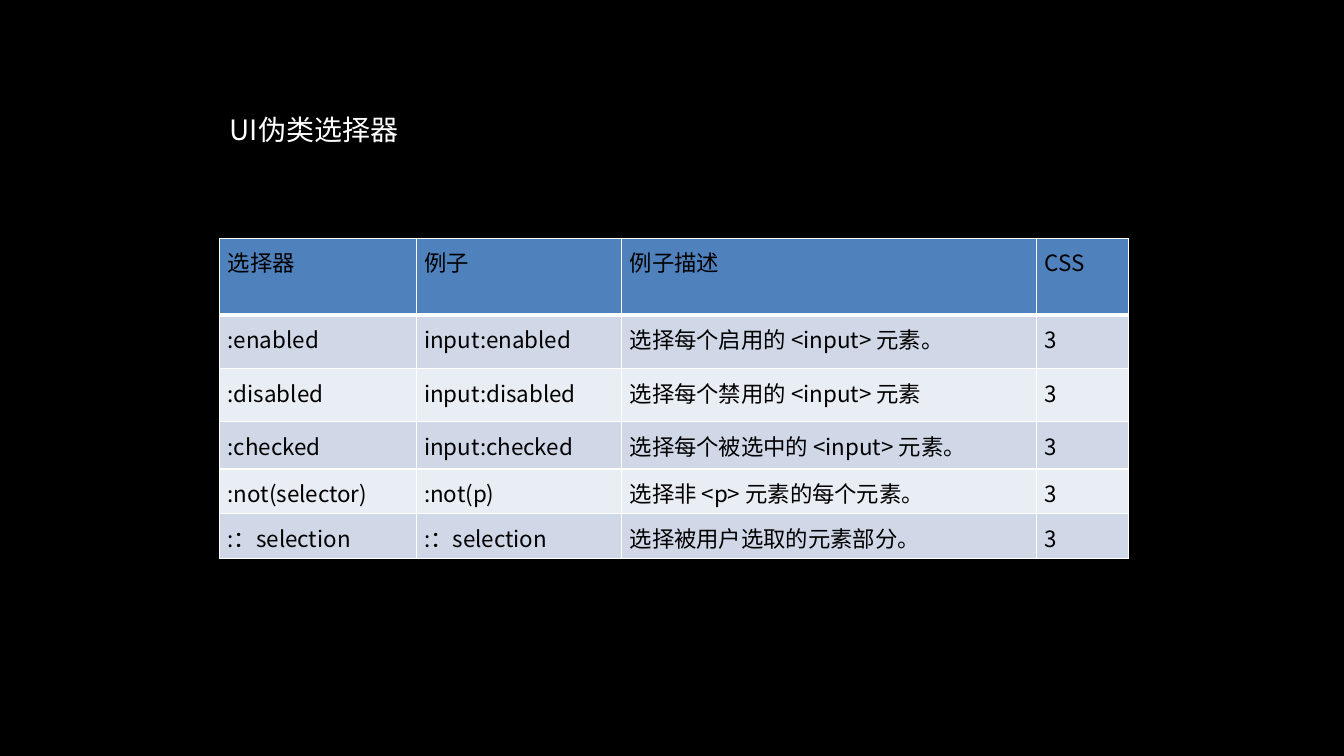
from typing import NamedTuple

from lxml import etree
from pptx import Presentation
from pptx import util as u
from pptx.dml.color import RGBColor
from pptx.enum import text
from pptx.oxml import ns

FONT = "Noto Sans CJK SC"
BLACK = RGBColor(0x00, 0x00, 0x00)
WHITE = RGBColor(0xFF, 0xFF, 0xFF)
BLUE = RGBColor(0x4F, 0x81, 0xBD)
MIST = RGBColor(0xD0, 0xD8, 0xE8)
PALE = RGBColor(0xE9, 0xED, 0xF4)


class Row(NamedTuple):
    high: float
    name: str
    sample: str
    about: str
    level: str = "3"


WIDTHS = (4.95, 5.18, 10.46, 2.31)
ROWS = (
    Row(1.93, "选择器", "例子", "例子描述", "CSS"),
    Row(1.35, ":enabled", "input:enabled", "选择每个启用的 <input> 元素。"),
    Row(1.35, ":disabled", "input:disabled", "选择每个禁用的 <input> 元素"),
    Row(1.19, ":checked", "input:checked", "选择每个被选中的 <input> 元素。"),
    Row(1.12, ":not(selector)", ":not(p)", "选择非 <p> 元素的每个元素。"),
    Row(1.14, ":：selection", ":：selection", "选择被用户选取的元素部分。"),
)


def add_run(para, words: str, size: int, color: RGBColor) -> None:
    run = para.add_run()
    run.text = words
    run.font.size = u.Pt(size)
    run.font.name = FONT
    run.font.color.rgb = color
    etree.SubElement(run.font._element, ns.qn("a:ea"), typeface=FONT)


def add_edge(cell, side: str, points: int) -> None:
    props = cell._tc.get_or_add_tcPr()
    line = etree.Element(ns.qn(f"a:{side}"), w=str(u.Pt(points)))
    fill = etree.SubElement(line, ns.qn("a:solidFill"))
    etree.SubElement(fill, ns.qn("a:srgbClr"), val=str(WHITE))
    # Edges must come ahead of the fill
    props.insert(len(props) - 1, line)


def fill_cell(cell, words: str, index: int) -> None:
    cell.fill.solid()
    cell.fill.fore_color.rgb = BLUE if index == 0 else (PALE, MIST)[index % 2]
    cell.margin_left = cell.margin_top = cell.margin_bottom = u.Cm(0.2)
    cell.margin_right = u.Cm(0.25)
    para = cell.text_frame.paragraphs[0]
    add_run(para, words, 16, BLACK)
    # Space before as a share of the line
    space = etree.SubElement(para._p.get_or_add_pPr(), ns.qn("a:spcBef"))
    etree.SubElement(space, ns.qn("a:spcPct"), val="20000")
    edges = {"lnL": 1, "lnR": 1, "lnT": 3 if index == 1 else 1, "lnB": 3 if index == 0 else 1}
    for side, points in edges.items():
        add_edge(cell, side, points)


def add_title(slide) -> None:
    box = slide.shapes.add_textbox(u.Cm(5.54), u.Cm(2.72), u.Cm(6.2), u.Cm(1.17))
    frame = box.text_frame
    frame.word_wrap = True
    frame.auto_size = text.MSO_AUTO_SIZE.SHAPE_TO_FIT_TEXT
    add_run(frame.paragraphs[0], "UI伪类选择器", 20, WHITE)


def add_grid(slide) -> None:
    high = sum(row.high for row in ROWS)
    grid = slide.shapes.add_table(
        len(ROWS), len(WIDTHS), u.Cm(5.54), u.Cm(6), u.Cm(sum(WIDTHS)), u.Cm(high)
    ).table
    for col, width in zip(grid.columns, WIDTHS):
        col.width = u.Cm(width)
    for index, row in enumerate(ROWS):
        grid.rows[index].height = u.Cm(row.high)
        for spot, words in enumerate(row[1:]):
            fill_cell(grid.cell(index, spot), words, index)


def main() -> None:
    deck = Presentation()
    deck.slide_width, deck.slide_height = u.Cm(33.87), u.Cm(19.05)
    slide = deck.slides.add_slide(deck.slide_layouts[6])
    # Black backdrop
    slide.background.fill.solid()
    slide.background.fill.fore_color.rgb = BLACK
    # Title and table
    add_title(slide)
    add_grid(slide)
    deck.save("out.pptx")


if __name__ == "__main__":
    main()
